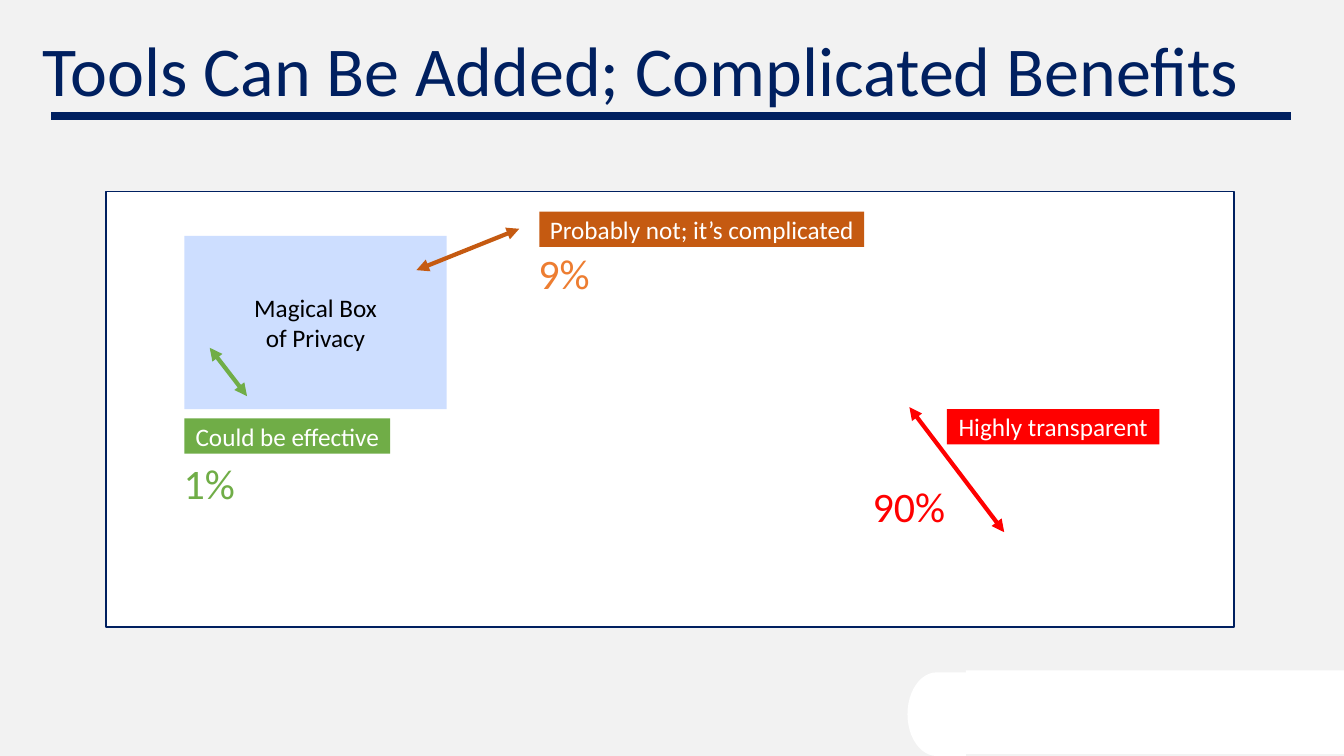
from lxml import etree
from pptx import Presentation
from pptx.dml.color import RGBColor
from pptx.enum.dml import MSO_FILL
from pptx.enum.shapes import MSO_CONNECTOR, MSO_SHAPE
from pptx.enum.text import MSO_ANCHOR, MSO_AUTO_SIZE, PP_ALIGN
from pptx.oxml.ns import qn
from pptx.util import Pt

PX = 9144
RECT, DELAY = MSO_SHAPE.RECTANGLE, MSO_SHAPE.FLOWCHART_DELAY
LINE = MSO_CONNECTOR.STRAIGHT
LEFT, MID = PP_ALIGN.LEFT, PP_ALIGN.CENTER
TOP, CORE = MSO_ANCHOR.TOP, MSO_ANCHOR.MIDDLE
FIXED = MSO_AUTO_SIZE.NONE
NAVY, WHITE, BLACK, GREY = "002060", "FFFFFF", "000000", "F2F2F2"
BLUE, GREEN, RUST, AMBER, RED = "CDDEFF", "70AD47", "C55A11", "ED7D31", "FF0000"

CHIPS = [
    ((430, 20, 322, 35), RUST, "Probably not; it’s complicated"),
    ((834, 216, 211, 35), RED, "Highly transparent"),
    ((78, 225, 204, 35), GREEN, "Could be effective"),
]
ARROWS = [
    ((103, 155, 140, 203), GREEN),
    ((308, 78, 410, 37), RUST),
    ((797, 214, 891, 338), RED),
]
SHARES = [
    ((740, 294), RED, "90%"),
    ((398, 63), AMBER, "9%"),
    ((46, 271), GREEN, "1%"),
]


def emu(*nums):
    return [n * PX for n in nums]


def paint(fill, tone):
    fill.solid()
    fill.fore_color.rgb = RGBColor.from_string(tone)


def shift(box, part):
    return box[0] + part[0], box[1] + part[1], part[2], part[3]


def style(obj, form):
    for name, value in form.items():
        setattr(obj, name, value)


def write(shape, text, size, tone, align=MID, anchor=CORE, pad=0):
    frame = shape.text_frame
    style(frame, {
        "word_wrap": True, "auto_size": FIXED, "vertical_anchor": anchor,
        "margin_left": pad * PX, "margin_right": pad * PX,
        "margin_top": pad * PX // 2, "margin_bottom": pad * PX // 2,
    })
    for i, words in enumerate(text.split("\n")):
        para = frame.add_paragraph() if i else frame.paragraphs[0]
        para.alignment = align
        run = para.add_run()
        run.text = words
        style(run.font, {"name": "Calibri", "size": Pt(size)})
        paint(run.font.fill, tone)


def block(slide, box, tone, kind=RECT, edge=None):
    shape = slide.shapes.add_shape(kind, *emu(*box))
    shape.shadow.inherit = False
    paint(shape.fill, tone)
    if edge:
        paint(shape.line.fill, edge)
        shape.line.width = Pt(1)
    else:
        shape.line.fill.background()
    return shape


def stroke(slide, ends, tone, width, heads=False):
    line = slide.shapes.add_connector(LINE, *emu(*ends))
    paint(line.line.fill, tone)
    line.line.width = Pt(width)
    props = line._element.spPr
    if heads:
        for tag in ("a:headEnd", "a:tailEnd"):
            etree.SubElement(props.find(qn("a:ln")), qn(tag), type="triangle")
    etree.SubElement(props, qn("a:effectLst"))


def header(slide, box):
    x, y, w, h = box
    title = slide.shapes.title
    style(title, dict(zip(("left", "top", "width", "height"), emu(*box))))
    write(title, "Tools Can Be Added; Complicated Benefits", 50, NAVY, LEFT, TOP, 10)
    stroke(slide, (x + 19, y + h, x + w - 18, y + h), NAVY, 6)


def panel(slide, box):
    x, y = box[:2]
    block(slide, box, WHITE, edge=NAVY)
    magic = block(slide, shift(box, (78, 44, 260, 172)), BLUE)
    write(magic, "Magical Box\nof Privacy", 18, BLACK)
    for part, tone, text in CHIPS:
        write(block(slide, shift(box, part), tone), text, 18, WHITE)
    for (ax, ay, bx, by), tone in ARROWS:
        stroke(slide, (x + ax, y + ay, x + bx, y + by), tone, 3, True)
    for spot, tone, text in SHARES:
        label = slide.shapes.add_textbox(*emu(*shift(box, (*spot, 113, 35))))
        write(label, text, 30, tone)


def corner(slide, box):
    cap = block(slide, shift(box, (0, 2, 58, 83)), WHITE, DELAY)
    cap.rotation = 180
    block(slide, shift(box, (58, 0, box[2] - 58, 83)), WHITE)


def main():
    deck = Presentation()
    deck.slide_width, deck.slide_height = emu(1333, 750)
    slide = deck.slides.add_slide(deck.slide_layouts[5])
    paint(slide.background.fill, GREY)
    header(slide, (32, 21, 1266, 94))
    panel(slide, (105, 190, 1119, 432))
    corner(slide, (900, 665, 433, 85))
    deck.save("out.pptx")


if __name__ == "__main__":
    main()
